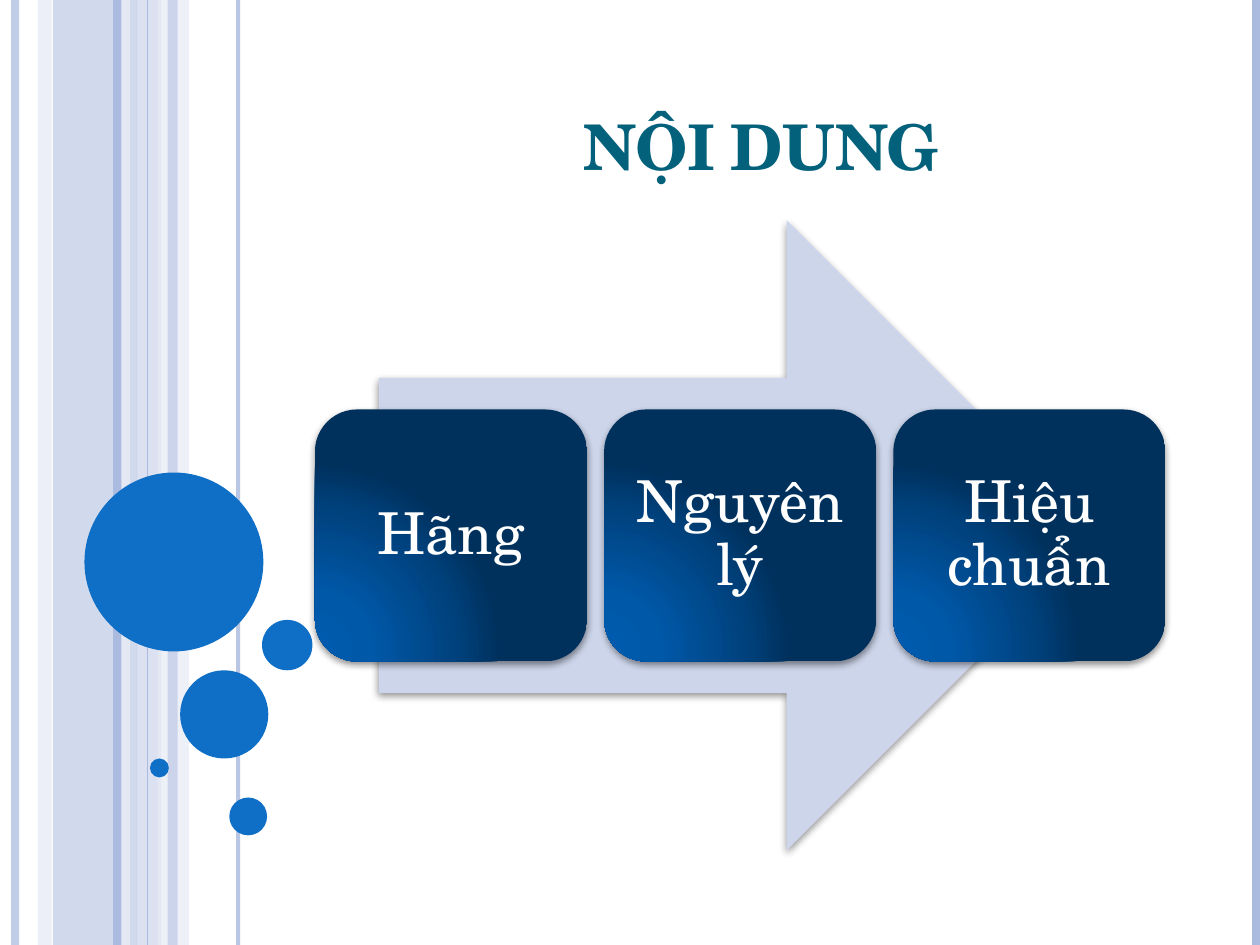
from lxml.etree import SubElement
from pptx import Presentation
from pptx.dml.color import RGBColor
from pptx.enum.shapes import MSO_CONNECTOR, MSO_SHAPE
from pptx.enum.text import MSO_ANCHOR, PP_ALIGN
from pptx.oxml.ns import qn
from pptx.util import Inches, Pt

WIDTH, HEIGHT = 10, 7.5
FONT = "TeX Gyre Schola"
MID, PALE, FAINT, BLUE = "ABBBDF", "CCD5EA", "E7EBF5", "0F6FC6"

# left, width, colour, opacity in percent
BANDS = [(0.42, 0.67, MID, 54), (0.3, 0.11, PALE, 36),
         (1.08, 0.2, PALE, 70), (1.25, 0.25, FAINT, 71)]
NARROW_BAND = (1.33, 0.08, MID, 51)
# x, line width in points, colour, opacity in percent
RULES = [(0.12, 4.5, MID, 73), (1, 4.5, FAINT, 83), (0.93, 4.5, MID, 100),
         (1.89, 2.25, MID, 82), (1.17, 0.75, MID, 100), (9.97, 4.5, MID, 100)]
# left, top, diameter
BUBBLES = [(0.67, 3.75, 1.42), (1.43, 5.32, 0.7), (1.19, 6.02, 0.15),
           (1.82, 6.33, 0.3), (2.08, 4.92, 0.4)]
STEPS = ["Hãng", "Nguyên lý", "Hiệu chuẩn"]
GLOW = [(0, "005BAE"), (30, "0058A8"), (75, "00427E"), (100, "00315D")]


def add_node(parent, tag, **attributes):
    node = SubElement(parent, qn(tag))
    for name, value in attributes.items():
        node.set(name, str(value))
    return node


def paint(fill, colour, opacity=100):
    fill.solid()
    fill.fore_color.rgb = RGBColor.from_string(colour)
    if opacity < 100:
        # the colour node is the only one below the fill element
        node = fill._xPr.find(qn("a:solidFill"))[0]
        add_node(node, "a:alpha", val=opacity * 1000)


def add_block(page, kind, box, colour, opacity=100):
    block = page.shapes.add_shape(kind, *map(Inches, box))
    block.shadow.inherit = False
    block.line.fill.background()
    paint(block.fill, colour, opacity)
    return block


def add_rule(page, x, width, colour, opacity):
    rule = page.shapes.add_connector(
        MSO_CONNECTOR.STRAIGHT, Inches(x), 0, Inches(x), Inches(HEIGHT))
    rule.line.width = Pt(width)
    paint(rule.line.fill, colour, opacity)
    add_node(rule._element.spPr, "a:effectLst")


def cast_shadow(block):
    effects = block._element.spPr.find(qn("a:effectLst"))
    shadow = add_node(effects, "a:outerShdw", blurRad=Pt(4), dist=Pt(1.6),
                      dir=90 * 60000, rotWithShape=0)
    colour = add_node(shadow, "a:srgbClr", val="000000")
    add_node(colour, "a:alpha", val=42000)


def add_glow(block):
    """Fill with a round gradient that spreads from the lower left corner."""
    props = block._element.spPr
    plain = props.find(qn("a:solidFill"))
    glow = add_node(props, "a:gradFill", rotWithShape=1)
    stops = add_node(glow, "a:gsLst")
    for position, colour in GLOW:
        stop = add_node(stops, "a:gs", pos=position * 1000)
        add_node(stop, "a:srgbClr", val=colour)
    path = add_node(glow, "a:path", path="circle")
    add_node(path, "a:fillToRect", l=5000, t=100000, r=120000, b=10000)
    props.replace(plain, glow)


def write(shape, text, size, colour, bold=False, small_caps=False,
          anchor=MSO_ANCHOR.MIDDLE, spacing=1.0, margins=(0.1, 0.05)):
    frame = shape.text_frame
    frame.word_wrap = True
    frame.vertical_anchor = anchor
    frame.margin_left = frame.margin_right = Inches(margins[0])
    frame.margin_top = frame.margin_bottom = Inches(margins[1])
    para = frame.paragraphs[0]
    para.alignment = PP_ALIGN.CENTER
    para.line_spacing = spacing
    span = para.add_run()
    span.text = text
    span.font.name = FONT
    span.font.size = Pt(size)
    span.font.bold = bold
    span.font.color.rgb = RGBColor.from_string(colour)
    if small_caps:
        span._r.get_or_add_rPr().set("cap", "small")


def draw_backdrop(page):
    def add_band(left, width, colour, opacity):
        add_block(page, MSO_SHAPE.RECTANGLE, (left, 0, width, HEIGHT),
                  colour, opacity)

    for band in BANDS:
        add_band(*band)
    for rule in RULES:
        add_rule(page, *rule)
    add_band(*NARROW_BAND)
    for left, top, size in BUBBLES:
        add_block(page, MSO_SHAPE.OVAL, (left, top, size, size), BLUE)


def draw_title(page, box):
    title = page.shapes.add_textbox(*map(Inches, box))
    write(title, "NỘI DUNG", 36, "04617B", bold=True, small_caps=True,
          anchor=MSO_ANCHOR.BOTTOM)


def draw_process(page, box):
    left, top, width, height = box
    arrow_width = width * 0.85
    arrow = add_block(
        page, MSO_SHAPE.RIGHT_ARROW,
        (left + (width - arrow_width) / 2, top, arrow_width, height), PALE)
    cast_shadow(arrow)

    card_width, card_height = width * 0.32, height * 0.4
    pitch = (width - card_width) / (len(STEPS) - 1)
    for index, step in enumerate(STEPS):
        card = add_block(
            page, MSO_SHAPE.ROUNDED_RECTANGLE,
            (left + index * pitch, top + (height - card_height) / 2,
             card_width, card_height), BLUE)
        add_glow(card)
        cast_shadow(card)
        write(card, step, 33, "FFFFFF", spacing=0.9, margins=(0.04, 0.04))


def main():
    deck = Presentation()
    deck.slide_width, deck.slide_height = Inches(WIDTH), Inches(HEIGHT)
    page = deck.slides.add_slide(deck.slide_layouts[6])
    draw_backdrop(page)
    draw_title(page, (2.67, 0.42, 6.75, 1.08))
    draw_process(page, (2.5, 1.75, 6.75, 5))
    deck.save("out.pptx")


if __name__ == "__main__":
    main()
